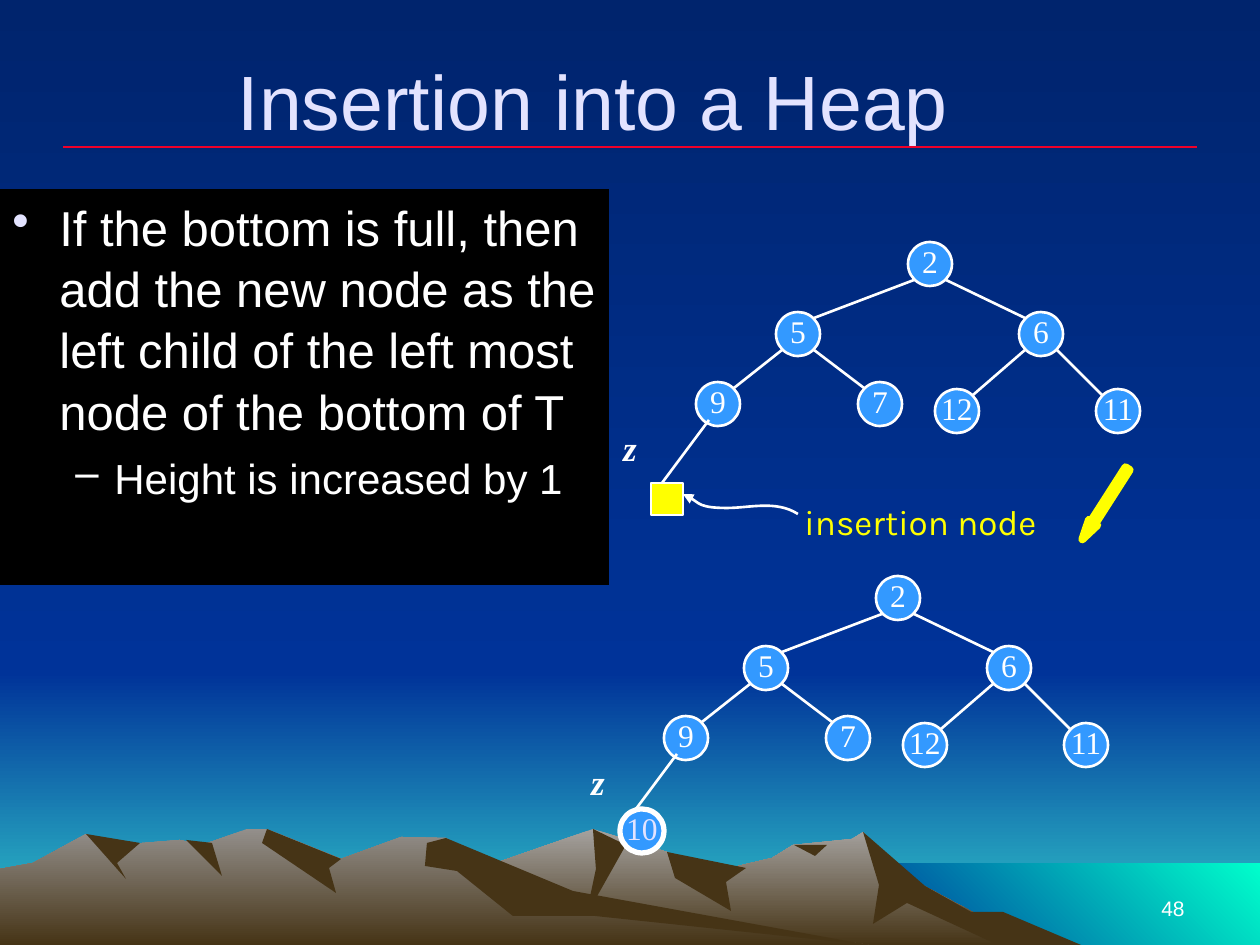
from lxml import etree
from pptx import Presentation
from pptx.dml.color import RGBColor
from pptx.enum.shapes import MSO_CONNECTOR, MSO_SHAPE
from pptx.enum.text import MSO_ANCHOR, PP_ALIGN
from pptx.oxml.ns import qn
from pptx.util import Emu, Pt

PX = 914400 / 126
RECT, OVAL, ARROW = MSO_SHAPE.RECTANGLE, MSO_SHAPE.OVAL, MSO_SHAPE.DOWN_ARROW
STRAIGHT = MSO_CONNECTOR.STRAIGHT
TOP, MIDDLE, BOTTOM = MSO_ANCHOR.TOP, MSO_ANCHOR.MIDDLE, MSO_ANCHOR.BOTTOM
LEFT, CENTER, RIGHT = PP_ALIGN.LEFT, PP_ALIGN.CENTER, PP_ALIGN.RIGHT

WHITE = RGBColor.from_string("FFFFFF")
BLACK = RGBColor.from_string("000000")
YELLOW = RGBColor.from_string("FFFF00")
LAVENDER = RGBColor.from_string("E3E3FF")
NODE_BLUE = RGBColor.from_string("3399FF")
RULE_RED = RGBColor.from_string("EF0129")
NIGHT = RGBColor.from_string("00246D")
ROYAL = RGBColor.from_string("003399")
TEAL = RGBColor.from_string("33CCCC")
MINT = RGBColor.from_string("00FFCC")
ROCK = RGBColor.from_string("463416")
NEAR_ROCK = RGBColor.from_string("A5A29F")
FAR_ROCK = RGBColor.from_string("938F8B")

WIDTH, HEIGHT, HORIZON = 1260, 945, 672
NODE = 44
RIM = 16
NEAR_RIDGE = [(325, 945), (412, 893), (510, 858), (593, 829), (667, 852), (713, 872),
              (772, 858), (793, 845), (852, 839), (863, 832), (911, 879), (1034, 945)]
FAR_RIDGE = [(0, 869), (33, 863), (86, 834), (118, 845), (180, 840), (202, 845), (247, 829),
             (267, 829), (341, 859), (401, 837), (446, 838), (544, 897), (869, 945), (0, 945)]
NEAR_SHADOWS = [
    [(863, 832), (879, 885), (873, 924), (907, 903), (998, 945), (1081, 945), (1003, 912),
     (971, 912), (925, 886)],
    [(593, 829), (596, 869), (586, 916), (626, 845)],
    [(667, 852), (675, 878), (731, 911), (726, 882), (746, 868)],
    [(794, 845), (815, 856), (827, 845)],
]
FAR_SHADOWS = [
    [(267, 829), (262, 843), (336, 893), (329, 868), (341, 859)],
    [(446, 838), (427, 843), (425, 866), (457, 871), (513, 916), (595, 916), (869, 945),
     (573, 891)],
    [(186, 840), (222, 876), (212, 843)],
    [(86, 834), (126, 879), (117, 863), (140, 843)],
]
HEAP_NODES = {"2": (908, 242), "5": (776, 312), "6": (1019, 312), "9": (696, 382),
              "7": (858, 382), "12": (935, 389), "11": (1096, 389)}
HEAP_CHILDREN = {"2": ("5", "6"), "5": ("9", "7"), "6": ("12", "11")}
POINTER_CURVE = [(798, 514), (776, 500), (750, 508), (727, 508),
                 (700, 508), (695, 499), (683, 494)]


def px(*lengths):
    """Turn pixel lengths into EMU."""
    return [Emu(round(length * PX)) for length in lengths]


def set_values(target, values):
    """Set each attribute named in a dict of format values."""
    for key, value in values.items():
        setattr(target, key, value)


def paint(fill, color):
    """Fill with one colour, or with a (start, end, angle) gradient."""
    if isinstance(color, RGBColor):
        fill.solid()
        fill.fore_color.rgb = color
        return
    start, end, angle = color
    fill.gradient()
    fill.gradient_angle = angle
    for stop, shade in zip(fill.gradient_stops, (start, end)):
        stop.color.rgb = shade


def finish(shape, color=None, outline=None, weight=1.5):
    """Give a shape its fill and outline, without a shadow."""
    shape.shadow.inherit = False
    if color is None:
        shape.fill.background()
    else:
        paint(shape.fill, color)
    if outline is None:
        shape.line.fill.background()
    else:
        shape.line.color.rgb = outline
        shape.line.width = Pt(weight)
    return shape


def add_preset(slide, kind, box, color, outline=None, weight=1.5):
    """Add a preset shape."""
    return finish(slide.shapes.add_shape(kind, *px(*box)), color, outline, weight)


def add_outline(slide, points, color=None, outline=None, close=True):
    """Add a freeform through the given points."""
    builder = slide.shapes.build_freeform(*points[0], scale=PX)
    builder.add_line_segments(points[1:], close=close)
    return finish(builder.convert_to_shape(), color, outline)


def add_line(slide, ends, color, weight=1.5):
    """Add a straight line."""
    line = slide.shapes.add_connector(STRAIGHT, *px(*ends))
    line.line.color.rgb = color
    line.line.width = Pt(weight)
    etree.SubElement(line._element.spPr, qn("a:effectLst"))


def write(paragraph, text, align, color, **font):
    """Put one formatted run in a paragraph."""
    run = paragraph.add_run()
    run.text = text
    paragraph.alignment = align
    set_values(run.font, font)
    run.font.color.rgb = color


def add_label(slide, box, text, align, color, frame, **font):
    """Add a text box with one line of text."""
    label = slide.shapes.add_textbox(*px(*box)).text_frame
    set_values(label, frame)
    write(label.paragraphs[0], text, align, color, **font)


def add_bullet(paragraph, mark, color, margin, indent):
    """Give a paragraph a hanging bullet."""
    props = paragraph._p.get_or_add_pPr()
    for key, length in (("marL", margin), ("indent", indent)):
        props.set(key, str(px(length)[0]))
    shade = etree.SubElement(etree.SubElement(props, qn("a:buClr")), qn("a:srgbClr"))
    shade.set("val", str(color))
    etree.SubElement(props, qn("a:buChar")).set("char", mark)


def add_node(slide, key, left, top, color=WHITE, weight=1.5):
    """Add a heap node with its key."""
    box = (left, top, NODE, NODE)
    node = add_preset(slide, OVAL, box, NODE_BLUE, WHITE, weight).text_frame
    set_values(node, dict(margin_left=0, margin_top=0, margin_right=0, margin_bottom=px(6)[0],
                          word_wrap=False, vertical_anchor=MIDDLE))
    write(node.paragraphs[0], key, CENTER, color, size=Pt(18), name="Times New Roman")


def add_heap(slide, dx, dy):
    """Draw the heap with its new branch, shifted by dx and dy."""
    centers = {key: (left + dx + NODE / 2, top + dy + NODE / 2)
               for key, (left, top) in HEAP_NODES.items()}
    for parent, children in HEAP_CHILDREN.items():
        x, y = centers[parent]
        for child, side in zip(children, (-RIM, RIM)):
            child_x, child_y = centers[child]
            add_line(slide, (x + side, y + RIM, child_x - side, child_y - RIM), WHITE)
    for key, (left, top) in HEAP_NODES.items():
        add_node(slide, key, left + dx, top + dy)
    add_line(slide, (709 + dx, 420 + dy, 662 + dx, 483 + dy), WHITE)
    add_label(slide, (609 + dx, 420 + dy, 42, 54), "z", CENTER, WHITE, dict(word_wrap=True),
              size=Pt(20), name="Times New Roman", bold=True, italic=True)


def add_pointer(slide):
    """Draw the curved arrow to the insertion node."""
    pointer = add_outline(slide, POINTER_CURVE, outline=WHITE, close=False)
    route = pointer._element.find(".//" + qn("a:path"))
    steps = route.findall(qn("a:lnTo"))
    for first in range(0, len(steps), 3):
        curve = etree.SubElement(route, qn("a:cubicBezTo"))
        for step in steps[first:first + 3]:
            curve.append(step[0])
            route.remove(step)
    etree.SubElement(pointer.line._get_or_add_ln(), qn("a:tailEnd")).set("type", "triangle")


def add_scenery(slide):
    """Draw the sky, the water and the mountains."""
    paint(slide.background.fill, (NIGHT, ROYAL, 270))
    add_preset(slide, RECT, (0, HORIZON, WIDTH, HEIGHT - HORIZON), (ROYAL, TEAL, 270))
    add_preset(slide, RECT, (0, 0, WIDTH, HORIZON), (NIGHT, ROYAL, 270))
    add_preset(slide, RECT, (861, 863, 399, 82), (ROYAL, MINT, 45))
    for ridge, rock, shadows in ((NEAR_RIDGE, NEAR_ROCK, NEAR_SHADOWS),
                                 (FAR_RIDGE, FAR_ROCK, FAR_SHADOWS)):
        add_outline(slide, ridge, (rock, ROCK, 270))
        for shadow in shadows:
            add_outline(slide, shadow, ROCK)


def add_rules(slide):
    """Add the black panel with the insertion rule."""
    panel = add_preset(slide, RECT, (0, 189, 609, 396), BLACK).text_frame
    set_values(panel, dict(word_wrap=True, vertical_anchor=TOP))
    rule, effect = panel.paragraphs[0], panel.add_paragraph()
    add_bullet(rule, "•", LAVENDER, 47, -47)
    add_bullet(effect, "–", WHITE, 102, -39)
    set_values(effect, dict(level=1, space_before=Pt(6)))
    lines = [(rule, "If the bottom is full, then add the new node as the left child of "
                    "the left most node of the bottom of T", 28),
             (effect, "Height is increased by 1", 24)]
    for paragraph, text, size in lines:
        paragraph.line_spacing = 1.04
        write(paragraph, text, LEFT, WHITE, size=Pt(size), name="Arial")


def main():
    """Build the slide."""
    deck = Presentation()
    deck.slide_width, deck.slide_height = px(WIDTH, HEIGHT)
    slide = deck.slides.add_slide(deck.slide_layouts[6])
    add_scenery(slide)
    add_line(slide, (63, 147, 1197, 147), RULE_RED, 0.75)
    add_label(slide, (903, 861, 294, 66), "48", RIGHT, WHITE,
              dict(word_wrap=True, vertical_anchor=BOTTOM), size=Pt(12), name="Arial")
    add_label(slide, (63, 38, 1061, 123), "Insertion into a Heap", CENTER, LAVENDER,
              dict(word_wrap=True, vertical_anchor=MIDDLE), size=Pt(44), name="Arial")
    add_rules(slide)
    add_heap(slide, 0, 0)
    add_preset(slide, RECT, (651, 483, 32, 32), YELLOW, WHITE)
    add_pointer(slide)
    add_label(slide, (780, 494, 281, 55), "insertion node", CENTER, YELLOW,
              dict(word_wrap=False), size=Pt(20), name="Karla")
    add_heap(slide, -32, 334)
    add_node(slide, "10", 620, 809, LAVENDER, 3)
    arrow = add_preset(slide, ARROW, (1100, 462, 10, 84), NODE_BLUE, YELLOW, 4.5)
    arrow.rotation = 32.6
    arrow.adjustments[0], arrow.adjustments[1] = 0.5, 2
    deck.save("out.pptx")


if __name__ == "__main__":
    main()
